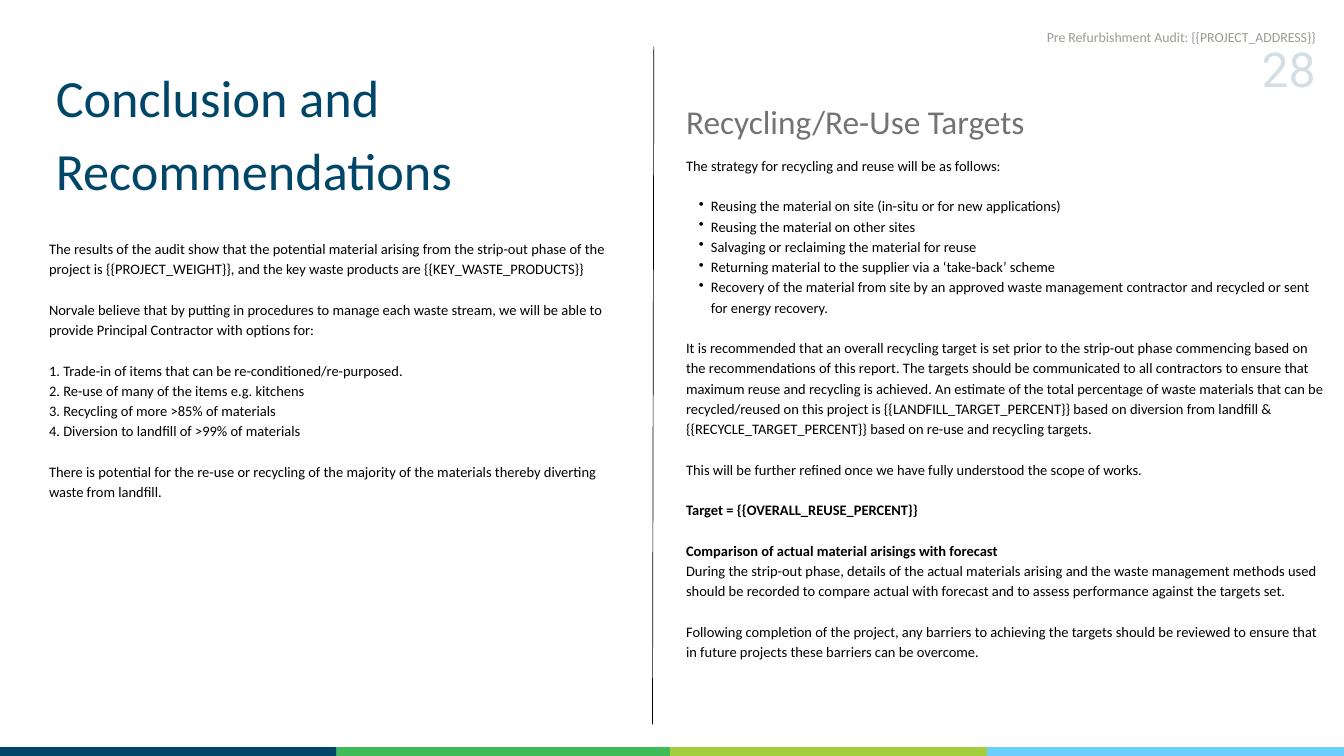
import pptx
import pptx.dml.color
import pptx.enum.dml
import pptx.enum.shapes
import pptx.enum.text
import pptx.util
from lxml import etree
from pptx.oxml.ns import qn

RGBColor = pptx.dml.color.RGBColor
Pt = pptx.util.Pt
ALIGN = pptx.enum.text.PP_ALIGN

PX = 9144  # 100 px to the inch
NAVY = RGBColor(0x00, 0x46, 0x69)
GREEN = RGBColor(0x3F, 0xBB, 0x58)
LIME = RGBColor(0xA3, 0xCF, 0x3E)
SKY = RGBColor(0x6B, 0xCE, 0xFD)
BLACK = RGBColor(0x00, 0x00, 0x00)
GREY = RGBColor(0x73, 0x73, 0x73)
WARM_GREY = RGBColor(0x9C, 0x9A, 0x94)

TITLE = {"name": "Calibri", "size": Pt(56), "color": NAVY, "leading": 78.4}
HEADING = {"name": "Calibri", "size": Pt(35.7), "color": GREY, "leading": 50}
BODY = {"name": "Calibri", "size": Pt(15.5), "color": BLACK, "leading": 21.7}
RUNNING_HEAD = {"name": "Calibri", "size": Pt(14.8), "color": WARM_GREY, "leading": 20.6}
PAGE_NUMBER = {"name": "Roboto", "size": Pt(51.6), "color": NAVY, "leading": 72.3}

# Each group of paragraphs is set one line apart from the group before.
# A leading "•" makes a bullet and a leading "*" makes bold.
CONCLUSIONS = [
    ["The results of the audit show that the potential material arising from the strip-out phase "
     "of the project is {{PROJECT_WEIGHT}}, and the key waste products are {{KEY_WASTE_PRODUCTS}}"],
    ["Norvale believe that by putting in procedures to manage each waste stream, we will be able "
     "to provide Principal Contractor with options for:"],
    ["1. Trade-in of items that can be re-conditioned/re-purposed.",
     "2. Re-use of many of the items e.g. kitchens",
     "3. Recycling of more >85% of materials",
     "4. Diversion to landfill of >99% of materials"],
    ["There is potential for the re-use or recycling of the majority of the materials thereby "
     "diverting waste from landfill."],
]
TARGETS = [
    ["The strategy for recycling and reuse will be as follows:"],
    ["•Reusing the material on site (in-situ or for new applications)",
     "•Reusing the material on other sites",
     "•Salvaging or reclaiming the material for reuse",
     "•Returning material to the supplier via a ‘take-back’ scheme",
     "•Recovery of the material from site by an approved waste management contractor and "
     "recycled or sent for energy recovery."],
    ["It is recommended that an overall recycling target is set prior to the strip-out phase "
     "commencing based on the recommendations of this report. The targets should be communicated "
     "to all contractors to ensure that maximum reuse and recycling is achieved. An estimate of "
     "the total percentage of waste materials that can be recycled/reused on this project is "
     "{{LANDFILL_TARGET_PERCENT}} based on diversion from landfill & "
     "{{RECYCLE_TARGET_PERCENT}} based on re-use and recycling targets."],
    ["This will be further refined once we have fully understood the scope of works."],
    ["*Target = {{OVERALL_REUSE_PERCENT}}"],
    ["*Comparison of actual material arisings with forecast",
     "During the strip-out phase, details of the actual materials arising and the waste "
     "management methods used should be recorded to compare actual with forecast and to assess "
     "performance against the targets set."],
    ["Following completion of the project, any barriers to achieving the targets should be "
     "reviewed to ensure that in future projects these barriers can be overcome."],
]


def place(shape, left, top, width, height):
    shape.left, shape.top = left * PX, top * PX
    shape.width, shape.height = width * PX, height * PX


def set_bullet(para):
    properties = para._p.get_or_add_pPr()
    properties.set("marL", str(37 * PX))
    properties.set("indent", str(-18 * PX))
    etree.SubElement(properties, qn("a:buChar")).set("char", "•")


def write(shape, groups, style, align=ALIGN.LEFT):
    """Fill a shape with groups of paragraphs and return the last run."""
    frame = shape.text_frame
    settings = {"word_wrap": True, "auto_size": pptx.enum.text.MSO_AUTO_SIZE.NONE,
                "vertical_anchor": pptx.enum.text.MSO_ANCHOR.TOP,
                "margin_left": 0, "margin_top": 0, "margin_right": 0, "margin_bottom": 0}
    for name, value in settings.items():
        setattr(frame, name, value)
    para = frame.paragraphs[0]
    for group_index, group in enumerate(groups):
        for line_index, line in enumerate(group):
            if group_index or line_index:
                para = frame.add_paragraph()
            if line.startswith("•"):
                set_bullet(para)
            para.alignment = align
            para.line_spacing = Pt(style["leading"])
            if group_index and not line_index:
                para.space_before = Pt(style["leading"])
            span = para.add_run()
            span.text = line.lstrip("•*")
            for name in ("name", "size"):
                setattr(span.font, name, style[name])
            span.font.bold = line.startswith("*")
            span.font.color.rgb = style["color"]
    return span


def add_text(page, box, groups, style, align=ALIGN.LEFT):
    shape = page.shapes.add_textbox(0, 0, 0, 0)
    place(shape, *box)
    return write(shape, groups, style, align)


def conclusion_column(page, left, top):
    title = page.shapes.title
    place(title, left + 10, top, 814, 225)
    write(title, [["Conclusion and Recommendations"]], TITLE)
    add_text(page, (left, top + 272, 834, 411), CONCLUSIONS, BODY)


def targets_column(page, left, top):
    add_text(page, (left, top, 591, 75), [["Recycling/Re-Use Targets"]], HEADING)
    add_text(page, (left, top + 89, 950, 790), TARGETS, BODY)


def colour_band(page, left, top, height):
    for width, colour in ((501, NAVY), (496, GREEN), (472, LIME), (548, SKY)):
        bar = page.shapes.add_shape(pptx.enum.shapes.MSO_SHAPE.RECTANGLE, 0, 0, 0, 0)
        place(bar, left, top, width, height)
        bar.shadow.inherit = False
        bar.fill.solid()
        bar.fill.fore_color.rgb = colour
        bar.line.fill.background()
        left += width


def column_rule(page, *ends):
    rule = page.shapes.add_connector(pptx.enum.shapes.MSO_CONNECTOR.STRAIGHT,
                                     *(end * PX for end in ends))
    rule.line.color.rgb = BLACK
    rule.line.width = Pt(0.75)
    etree.SubElement(rule._element.spPr, qn("a:effectLst"))


def page_header(page, right, top):
    number = add_text(page, (right - 117, top + 5, 117, 111), [["28"]], PAGE_NUMBER, ALIGN.RIGHT)
    colour = number._r.find(".//" + qn("a:srgbClr"))
    etree.SubElement(colour, qn("a:alpha")).set("val", "17000")
    add_text(page, (right - 739, top, 739, 30),
             [["Pre Refurbishment Audit: {{PROJECT_ADDRESS}}"]], RUNNING_HEAD, ALIGN.RIGHT)


def main():
    deck = pptx.Presentation()
    deck.slide_width, deck.slide_height = 2000 * PX, 1125 * PX
    page = deck.slides.add_slide(deck.slide_layouts[5])
    conclusion_column(page, 73, 81)
    targets_column(page, 1021, 140)
    colour_band(page, 0, 1112, 26)
    column_rule(page, 971, 1078, 973, 69)
    page_header(page, 1958, 39)
    deck.save("out.pptx")


if __name__ == "__main__":
    main()
